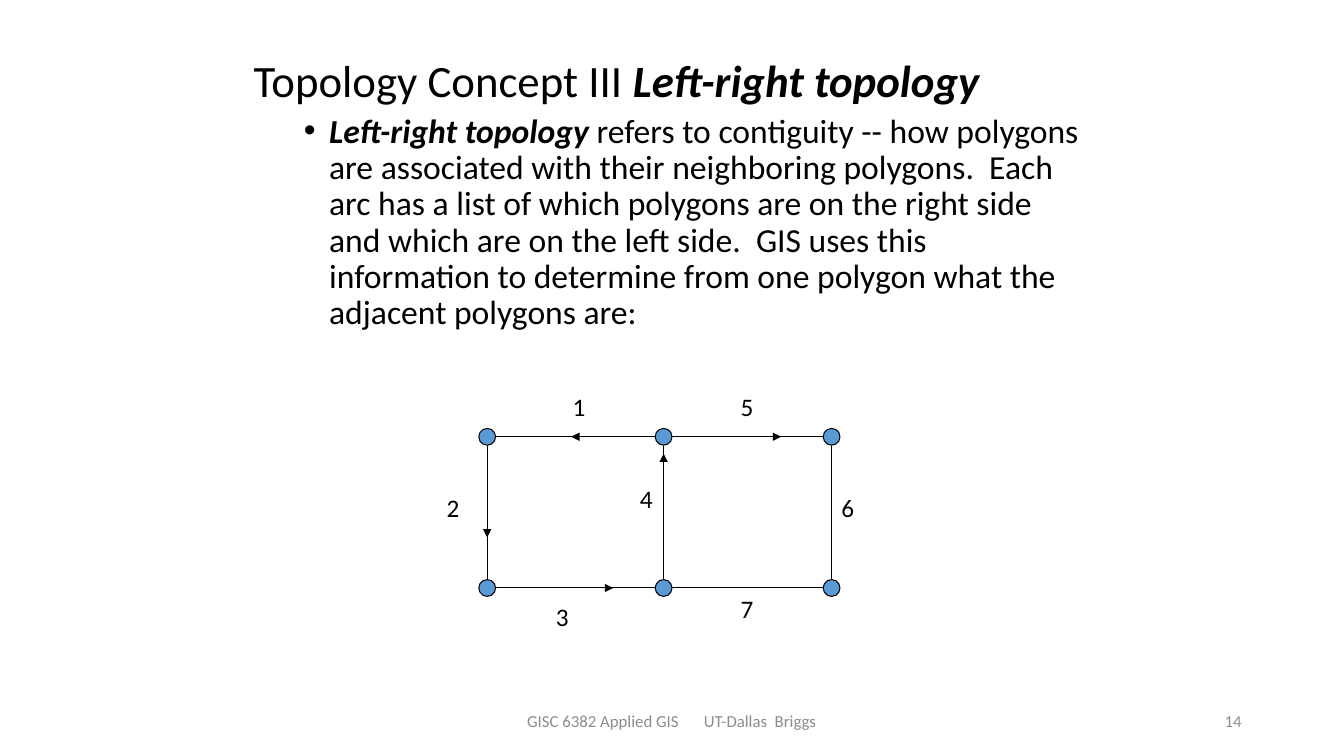
from dataclasses import dataclass
from itertools import product

from lxml.etree import SubElement
from pptx import Presentation
from pptx.dml.color import RGBColor
from pptx.enum.shapes import MSO_CONNECTOR, MSO_SHAPE
from pptx.enum.text import MSO_ANCHOR, PP_ALIGN
from pptx.oxml.ns import qn
from pptx.util import Inches, Pt

COLUMNS, ROWS = 160, 90


@dataclass(frozen=True)
class Theme:
    font: str = "Calibri"
    ink: RGBColor = RGBColor(0x00, 0x00, 0x00)
    muted: RGBColor = RGBColor(0x8C, 0x8C, 0x8C)
    node: RGBColor = RGBColor(0x5B, 0x9B, 0xD5)
    title_size: int = 32
    body_size: int = 24
    label_size: int = 18
    footer_size: int = 12
    line_width: float = 0.75


class SlideBuilder:
    def __init__(self, deck, theme):
        self.theme = theme
        self.slide = deck.slides.add_slide(deck.slide_layouts[6])
        self.column = deck.slide_width / COLUMNS
        self.row = deck.slide_height / ROWS

    def place(self, column, row):
        return round(column * self.column), round(row * self.row)

    def text(self, column, row, width, height, spans, size, color=None,
             align=PP_ALIGN.LEFT, anchor=MSO_ANCHOR.TOP, spacing=None):
        box = self.slide.shapes.add_textbox(*self.place(column, row), *self.place(width, height))
        frame = box.text_frame
        frame.word_wrap = True
        frame.vertical_anchor = anchor
        para = frame.paragraphs[0]
        para.alignment = align
        if spacing:
            para.line_spacing = spacing
        for words, emphasis in spans:
            span = para.add_run()
            span.text = words
            span.font.name = self.theme.font
            span.font.size = Pt(size)
            span.font.bold = span.font.italic = emphasis
            span.font.color.rgb = color or self.theme.ink
        return para

    def title(self, column, row, width, height, spans):
        self.text(column, row, width, height, spans, self.theme.title_size,
                  anchor=MSO_ANCHOR.MIDDLE, spacing=0.9)

    def bullet(self, column, row, width, height, spans):
        para = self.text(column, row, width, height, spans, self.theme.body_size, spacing=0.9)
        properties = para._p.get_or_add_pPr()
        properties.set("marL", str(Inches(0.75)))
        properties.set("indent", str(Inches(-0.25)))
        SubElement(properties, qn("a:buFont")).set("typeface", "Arial")
        SubElement(properties, qn("a:buChar")).set("char", "•")

    def footer(self, column, width, words, align):
        self.text(column, 83.4, width, 4.8, [(words, False)], self.theme.footer_size,
                  self.theme.muted, align, MSO_ANCHOR.MIDDLE)

    def label(self, column, row, width, words):
        self.text(column, row, width, 4.8, [(words, False)], self.theme.label_size)

    def line(self, start, end, arrow=False):
        connector = self.slide.shapes.add_connector(
            MSO_CONNECTOR.STRAIGHT, *self.place(*start), *self.place(*end))
        connector.line.color.rgb = self.theme.ink
        connector.line.width = Pt(self.theme.line_width)
        if arrow:
            SubElement(connector.line._get_or_add_ln(), qn("a:tailEnd")).set("type", "triangle")
        SubElement(connector._element.spPr, qn("a:effectLst"))

    def node(self, column, row):
        circle = self.slide.shapes.add_shape(
            MSO_SHAPE.OVAL, *self.place(column - 1, row - 1), *self.place(2, 2))
        circle.shadow.inherit = False
        circle.fill.solid()
        circle.fill.fore_color.rgb = self.theme.node
        circle.line.color.rgb = self.theme.ink
        circle.line.width = Pt(self.theme.line_width)


def main():
    deck = Presentation()
    deck.slide_width, deck.slide_height = Inches(13.33), Inches(7.5)
    page = SlideBuilder(deck, Theme())

    page.footer(53, 29, "GISC 6382 Applied GIS", PP_ALIGN.RIGHT)
    page.footer(82.6, 24.4, "UT-Dallas  Briggs", PP_ALIGN.LEFT)
    page.footer(113, 36, "14", PP_ALIGN.RIGHT)
    page.title(29, 5.4, 102, 9, [("Topology Concept III ", False), ("Left-right topology", True)])
    page.bullet(29, 13, 102, 65, [
        ("Left-right topology", True),
        (" refers to contiguity -- how polygons are associated with their neighboring polygons.  "
         "Each arc has a list of which polygons are on the right side and which are on the left "
         "side.  GIS uses this information to determine from one polygon what the adjacent "
         "polygons are:", False),
    ])

    node_columns = left, middle, right = 58, 79, 99
    node_rows = top, bottom = 52, 70
    for column in node_columns:
        page.line((column, top), (column, bottom))
    for row, (start, end) in product(node_rows, ((left, middle), (middle, right))):
        page.line((start, row), (end, row))
    for column, row in product(node_columns, node_rows):
        page.node(column, row)

    directions = [
        ((middle, 57), (middle, 54)),
        ((left, 57), (left, 64)),
        ((65, bottom), (73, bottom)),
        ((85, top), (93, top)),
        ((71, top), (68, top)),
    ]
    for start, end in directions:
        page.line(start, end, arrow=True)

    arc_labels = [(67, 46, 4), (52, 58, 4), (65, 71, 5), (75, 57, 3),
                  (87, 46, 6), (99, 58, 5), (87, 70, 4)]
    for number, (column, row, width) in enumerate(arc_labels, 1):
        page.label(column, row, width, str(number))

    deck.save("out.pptx")


if __name__ == "__main__":
    main()
